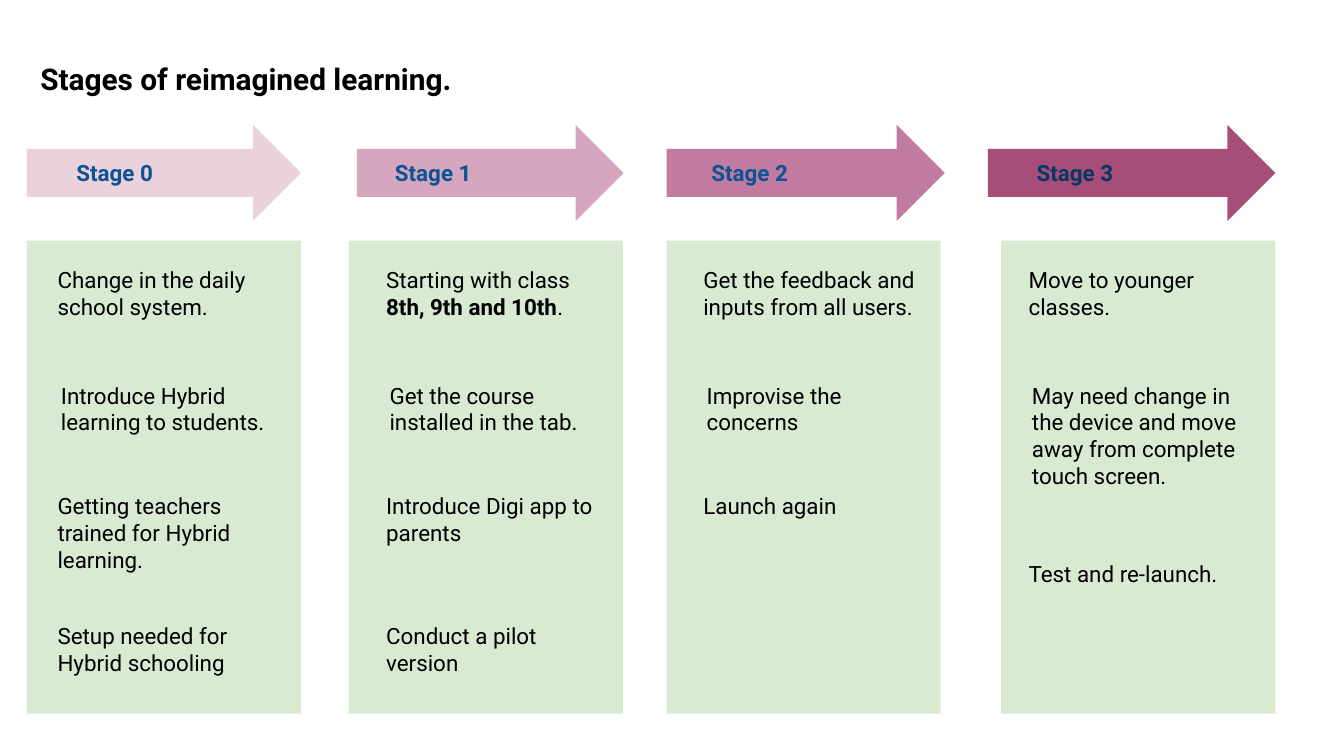
"""Build the slide on the four stages of reimagined learning."""
import pptx
import pptx.dml.color
import pptx.enum.shapes
import pptx.enum.text
import pptx.util

RGBColor = pptx.dml.color.RGBColor
BLACK = RGBColor(0x00, 0x00, 0x00)
BLUE = RGBColor(0x0B, 0x53, 0x94)
NAVY = RGBColor(0x07, 0x37, 0x63)
GREEN = RGBColor(0xD9, 0xEA, 0xD3)
PINKS = (
    RGBColor(0xEA, 0xD1, 0xDC),
    RGBColor(0xD5, 0xA6, 0xBD),
    RGBColor(0xC2, 0x7B, 0xA0),
    RGBColor(0xA6, 0x4D, 0x79),
)

EMU_PER_PX = 4572
FONT = "Roboto"
INSET = 20
LINE_HEIGHT = 40
PANEL_WIDTH = 408
NOTE_WIDTH = 366
SECOND_NOTE_SHIFT = 5

STAGES = (
    {"panel": 40, "arrow": 40, "arrow_width": 408, "heading": 94, "left": 66,
     "colour": BLUE, "notes": (
         (376, 2, ("Change in the daily school system.",)),
         (548, 2, ("Introduce Hybrid learning to students.",)),
         (713, 3, ("Getting teachers trained for Hybrid learning.",)),
         (906, 2, ("Setup needed for Hybrid schooling",)),
     )},
    {"panel": 519, "arrow": 531, "arrow_width": 397, "heading": 568, "left": 555,
     "colour": BLUE, "notes": (
         (376, 2, ("Starting with class ", "8th, 9th and 10th", ".")),
         (548, 2, ("Get the course installed in the tab.",)),
         (713, 2, ("Introduce Digi app to parents",)),
         (906, 2, ("Conduct a pilot version",)),
     )},
    {"panel": 992, "arrow": 992, "arrow_width": 414, "heading": 1039, "left": 1027,
     "colour": BLUE, "notes": (
         (376, 2, ("Get the feedback and inputs from all users.",)),
         (548, 2, ("Improvise the concerns",)),
         (712, 1, ("Launch again",)),
     )},
    {"panel": 1490, "arrow": 1470, "arrow_width": 428, "heading": 1523, "left": 1511,
     "colour": NAVY, "notes": (
         (376, 2, ("Move to younger classes.",)),
         (548, 4, ("May need change in the device and move away from complete touch screen.",)),
         (814, 1, ("Test and re-launch.",)),
     )},
)


def px(length):
    return pptx.util.Emu(length * EMU_PER_PX)


def box(left, top, width, height):
    return px(left), px(top), px(width), px(height)


def format_frame(frame):
    frame.word_wrap = True
    frame.vertical_anchor = pptx.enum.text.MSO_ANCHOR.TOP
    frame.auto_size = pptx.enum.text.MSO_AUTO_SIZE.SHAPE_TO_FIT_TEXT
    frame.margin_left = frame.margin_right = px(INSET)
    frame.margin_top = frame.margin_bottom = px(INSET)


def format_run(run, size, colour, bold):
    run.font.name = FONT
    run.font.size = pptx.util.Pt(size)
    run.font.bold = bold
    run.font.color.rgb = colour


def set_title(slide, wording):
    title = slide.shapes.title
    title.left, title.top, title.width, title.height = box(40, 62, 886, 94)
    title.text_frame.text = wording
    format_frame(title.text_frame)
    line = title.text_frame.paragraphs[0]
    line.alignment = pptx.enum.text.PP_ALIGN.LEFT
    line.line_spacing = 1.15
    format_run(line.runs[0], 16, BLACK, True)


def add_block(slide, preset, bounds, colour):
    block = slide.shapes.add_shape(preset, *box(*bounds))
    block.shadow.inherit = False
    block.fill.solid()
    block.fill.fore_color.rgb = colour
    block.line.fill.background()


def add_label(slide, bounds, parts, colour=BLACK, heading=False):
    label = slide.shapes.add_textbox(*box(*bounds))
    format_frame(label.text_frame)
    line = label.text_frame.paragraphs[0]
    for index, part in enumerate(parts):
        run = line.add_run()
        run.text = part
        emphasised = index % 2 == 1
        format_run(run, 12, colour, heading or emphasised)


def add_notes(slide, left, notes):
    for index, (top, line_count, parts) in enumerate(notes):
        shift = SECOND_NOTE_SHIFT if index == 1 else 0
        height = line_count * LINE_HEIGHT + 2 * INSET
        bounds = (left + shift, top, NOTE_WIDTH - 2 * shift, height)
        add_label(slide, bounds, parts)


def add_stage(slide, number, stage):
    presets = pptx.enum.shapes.MSO_SHAPE
    arrow_bounds = (stage["arrow"], 186, stage["arrow_width"], 143)
    add_block(slide, presets.RIGHT_ARROW, arrow_bounds, PINKS[number])
    add_block(slide, presets.RECTANGLE, (stage["panel"], 358, PANEL_WIDTH, 704), GREEN)
    heading_bounds = (stage["heading"], 217, 162, 80)
    add_label(slide, heading_bounds, (f"Stage {number}",), stage["colour"], True)
    add_notes(slide, stage["left"], stage["notes"])


def main():
    deck = pptx.Presentation()
    deck.slide_width, deck.slide_height = px(2000), px(1125)
    slide = deck.slides.add_slide(deck.slide_layouts[5])
    set_title(slide, "Stages of reimagined learning.")
    for number, stage in enumerate(STAGES):
        add_stage(slide, number, stage)
    deck.save("out.pptx")


if __name__ == "__main__":
    main()
